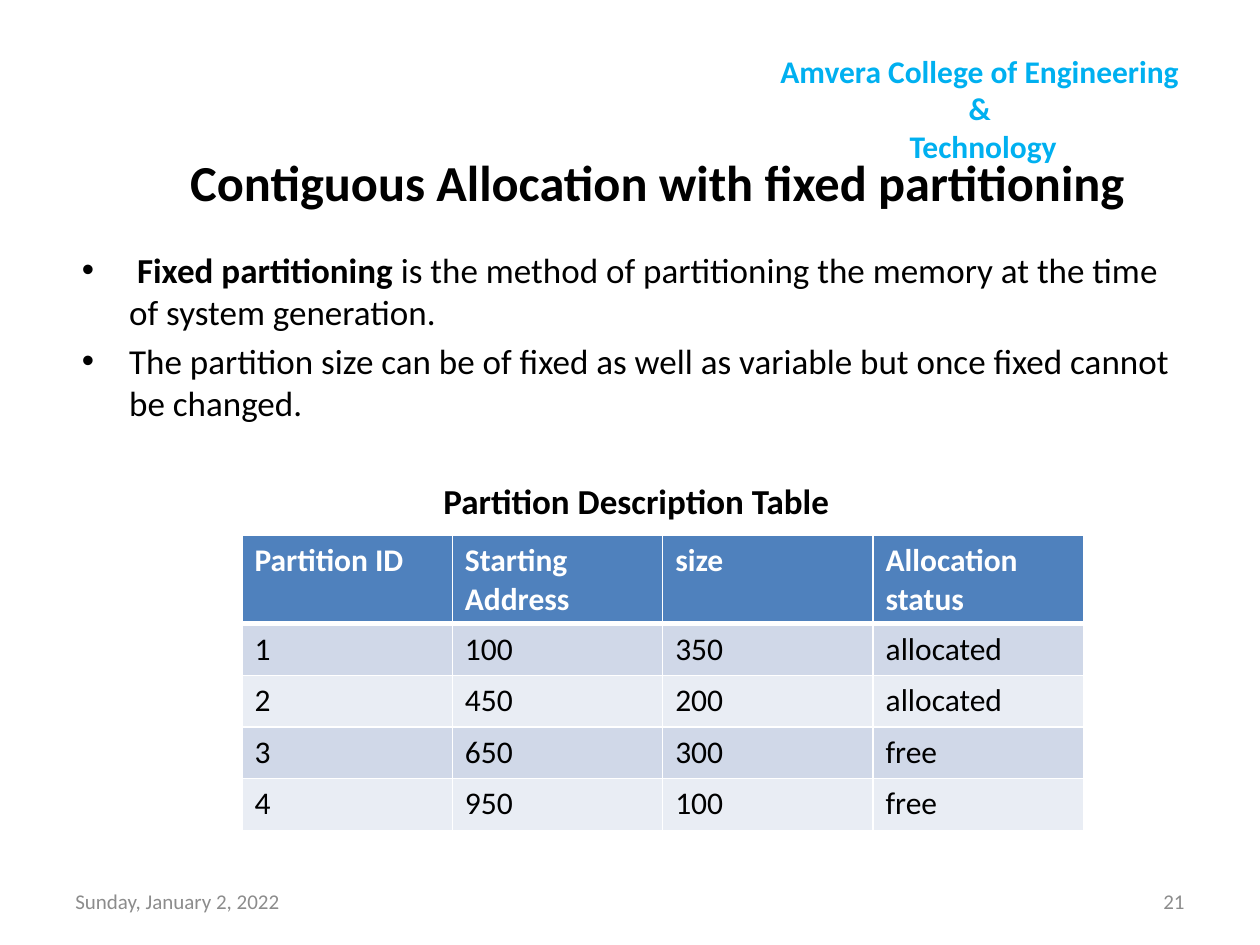
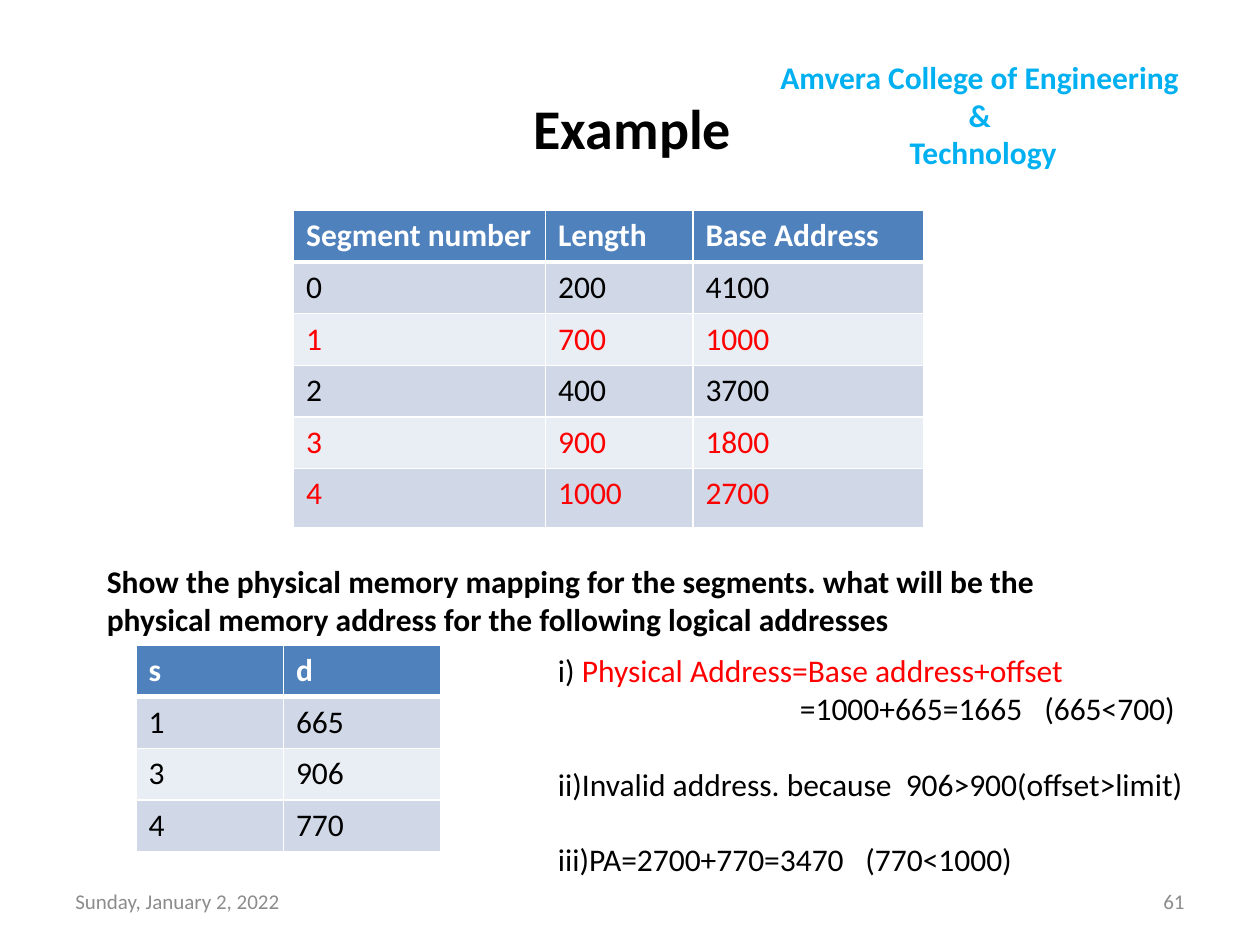
from lxml import etree
from pptx import Presentation
from pptx.dml.color import RGBColor
from pptx.enum.text import MSO_ANCHOR as Anchor, MSO_AUTO_SIZE as AutoSize, PP_ALIGN as Align
from pptx.oxml.ns import qn
from pptx.util import Inches, Pt

# Palette
BLACK = RGBColor(0x00, 0x00, 0x00)
WHITE = RGBColor(0xFF, 0xFF, 0xFF)
RED = RGBColor(0xFF, 0x00, 0x00)
GREY = RGBColor(0x8C, 0x8C, 0x8C)
SKY = RGBColor(0x00, 0xB0, 0xF0)
HEADER = RGBColor(0x4F, 0x81, 0xBD)
BANDS = (RGBColor(0xD0, 0xD8, 0xE8), RGBColor(0xE9, 0xED, 0xF4))

TITLE_ONLY, TITLE_AND_BODY = 5, 1
COLLEGE = ("Amvera College of Engineering &", " Technology")
DATE = "Sunday, January 2, 2022"


def border(tc_pr, side, points):
    ln = etree.SubElement(tc_pr, qn(f"a:ln{side}"), w=str(Pt(points)))
    fill = etree.SubElement(ln, qn("a:solidFill"))
    etree.SubElement(fill, qn("a:srgbClr"), val=str(WHITE))


def set_tabs(p, stops):
    tab_list = etree.SubElement(p._p.get_or_add_pPr(), qn("a:tabLst"))
    for stop in stops:
        etree.SubElement(tab_list, qn("a:tab"), pos=str(Inches(stop)), algn="l")


class Deck:
    font = "Calibri"

    def __init__(self):
        self.prs = Presentation()
        self.prs.slide_width, self.prs.slide_height = Inches(10), Inches(7.5)
        self.s = None

    def run(self, p, text, size=18, color=BLACK, bold=False):
        r = p.add_run()
        r.text = text
        style = {"name": self.font, "size": Pt(size), "bold": bold}
        for key, value in style.items():
            setattr(r.font, key, value)
        r.font.color.rgb = color

    def paragraph(self, tf, first, runs, **fmt):
        """Add one paragraph; runs is a list of (text, run style) pairs."""
        p = tf.paragraphs[0] if first else tf.add_paragraph()
        for key, value in fmt.items():
            setattr(p, key, value)
        for text, style in runs:
            self.run(p, text, **style)
        return p

    def place(self, sp, box):
        for key, value in zip(("left", "top", "width", "height"), box):
            setattr(sp, key, Inches(value))
        sp.text_frame.auto_size = AutoSize.NONE
        return sp.text_frame

    def slide(self, layout, number, college_top):
        self.s = self.prs.slides.add_slide(self.prs.slide_layouts[layout])
        # Shared header and footer
        self.text((6.03, college_top, 3.49, 0.71), COLLEGE, wrap=False,
                  align=Align.CENTER, color=SKY, bold=True)
        footer = {"size": 12, "color": GREY, "anchor": Anchor.MIDDLE}
        self.text((0.5, 6.95, 2.33, 0.4), [DATE], **footer)
        self.text((7.17, 6.95, 2.33, 0.4), [number], align=Align.RIGHT, **footer)

    def title(self, text, box, size, anchor=Anchor.MIDDLE):
        tf = self.place(self.s.shapes.title, box)
        tf.vertical_anchor = anchor
        self.paragraph(tf, True, [(text, {"size": size, "bold": True})],
                       alignment=Align.CENTER)

    def body(self, box, items, caption):
        tf = self.place(self.s.placeholders[1], box)
        for i, runs in enumerate(items):
            self.paragraph(tf, i == 0, runs)
        p = self.paragraph(tf, False, [(caption, {"size": 20, "bold": True})],
                           alignment=Align.CENTER, space_before=Pt(32))
        p_pr = p._p.get_or_add_pPr()
        p_pr.set("marL", "0")
        p_pr.set("indent", "0")
        etree.SubElement(p_pr, qn("a:buNone"))

    def text_frame(self, box, wrap=True, anchor=Anchor.TOP):
        tf = self.s.shapes.add_textbox(*map(Inches, box)).text_frame
        tf.word_wrap, tf.vertical_anchor = wrap, anchor
        return tf

    def text(self, box, lines, align=Align.LEFT, wrap=True, anchor=Anchor.TOP, **style):
        tf = self.text_frame(box, wrap, anchor)
        for i, line in enumerate(lines):
            self.paragraph(tf, i == 0, [(line, style)], alignment=align)

    def answers(self, box, lines):
        """Add worked answers; each line is (runs, space before, tab stops)."""
        tf = self.text_frame(box)
        for i, (runs, gap, stops) in enumerate(lines):
            p = self.paragraph(tf, i == 0, runs, space_before=Pt(gap))
            if stops:
                set_tabs(p, stops)

    def table(self, left, top, widths, heights, rows, red_keys=()):
        frame = self.s.shapes.add_table(
            len(rows), len(widths), Inches(left), Inches(top),
            Inches(sum(widths)), Inches(sum(heights)))
        tbl = frame.table
        for col, width in zip(tbl.columns, widths):
            col.width = Inches(width)
        for i, (values, height) in enumerate(zip(rows, heights)):
            tbl.rows[i].height = Inches(height)
            head = i == 0
            color = WHITE if head else RED if values[0] in red_keys else BLACK
            for j, value in enumerate(values):
                cell = tbl.cell(i, j)
                tc_pr = cell._tc.get_or_add_tcPr()
                for side in "LRTB":
                    thick = (side, i) in (("B", 0), ("T", 1))
                    border(tc_pr, side, 3 if thick else 1)
                cell.fill.solid()
                cell.fill.fore_color.rgb = HEADER if head else BANDS[(i - 1) % 2]
                self.run(cell.text_frame.paragraphs[0], value, color=color, bold=head)


def fixed_partitioning(deck):
    deck.slide(TITLE_AND_BODY, "21", 0.36)
    deck.title("Contiguous Allocation with fixed partitioning",
               (0.72, 1.15, 9, 1.25), 28.8, Anchor.TOP)
    plain = {"size": 20}
    deck.body((0.55, 1.92, 9, 4.95), [
        [("\u00a0Fixed partitioning ".replace("\u00a0", " "), {"size": 20, "bold": True}),
         ("is the method of partitioning the memory at the time of system generation.", plain)],
        [("The partition size can be of fixed as well as variable but once fixed "
          "cannot be changed.", plain)],
    ], "Partition Description Table")
    deck.table(1.92, 4.25, [1.67] * 4, [0.69] + [0.41] * 4, [
        ("Partition ID", "Starting Address", "size", "Allocation status"),
        ("1", "100", "350", "allocated"),
        ("2", "450", "200", "allocated"),
        ("3", "650", "300", "free"),
        ("4", "950", "100", "free"),
    ])


def segmentation_example(deck):
    deck.slide(TITLE_ONLY, "61", 0.41)
    deck.title("Example", (0.52, 0.38, 9, 1.25), 32)
    # Segment table, with the segments asked about in red
    deck.table(2.33, 1.67, [2, 1.17, 1.83], [0.41] * 5 + [0.47], [
        ("Segment number", "Length", "Base Address"),
        ("0", "200", "4100"),
        ("1", "700", "1000"),
        ("2", "400", "3700"),
        ("3", "900", "1800"),
        ("4", "1000", "2700"),
    ], red_keys=("1", "3", "4"))
    # Question and logical addresses
    deck.text((0.75, 4.41, 8.33, 0.71), [
        "Show the physical memory mapping for the segments. what will be the",
        "physical memory address for the following logical addresses",
    ], bold=True)
    deck.table(1.08, 5.12, [1.17, 1.25], [0.41] * 4, [
        ("s", "d"), ("1", "665"), ("3", "906"), ("4", "770"),
    ])
    # Worked answers
    deck.answers((4.33, 5.12, 5.22, 1.92), [
        ([("i) ", {}), ("Physical Address=Base address+offset", {"color": RED})], 0, ()),
        ([("\t=1000+665=1665\t(665<700)", {})], 0, (1.92, 3.86)),
        ([("ii)Invalid address. because  906>900(offset>limit)", {})], 21.6, ()),
        ([("iii)PA=2700+770=3470\t(770<1000)", {})], 21.6, (2.44,)),
    ])


def main():
    deck = Deck()
    fixed_partitioning(deck)
    segmentation_example(deck)
    deck.prs.save("out.pptx")


if __name__ == "__main__":
    main()
